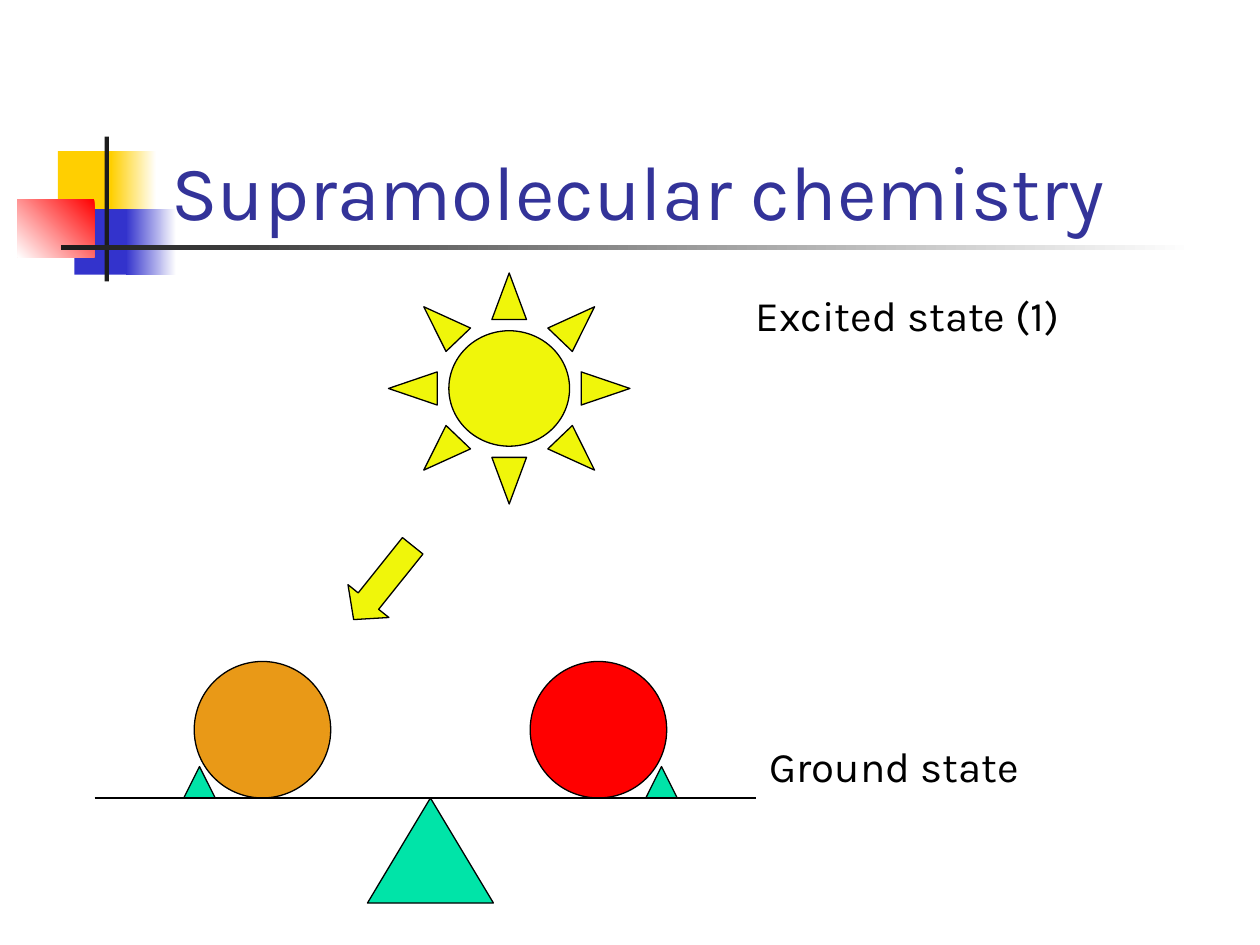
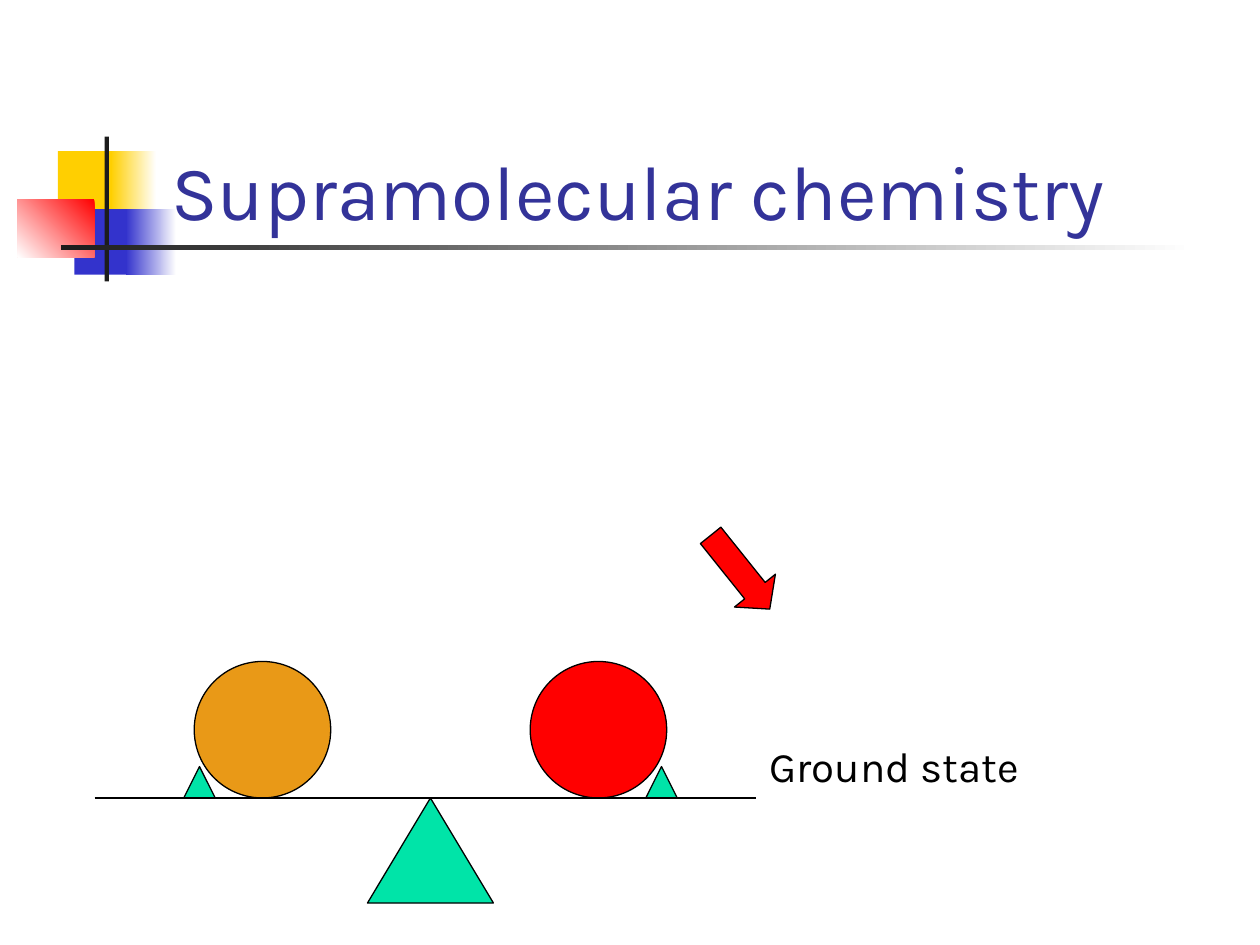
from pptx import Presentation
from pptx.dml.color import RGBColor
from pptx.enum import shapes as kinds, text as txt
from pptx.oxml import ns, xmlchemy
from pptx.util import Pt

FONT = "Karla"
WHITE = RGBColor(255, 255, 255)
BLACK = RGBColor(0, 0, 0)
INK = RGBColor(0x1C, 0x1C, 0x1C)
NAVY = RGBColor(0x33, 0x33, 0x99)
BLUE = RGBColor(0x33, 0x33, 0xCC)
GOLD = RGBColor(0xFF, 0xCF, 0x01)
RED = RGBColor(0xFF, 0, 0)
AMBER = RGBColor(0xE9, 0x99, 0x17)
GREEN = RGBColor(0, 0xE4, 0xA8)
YELLOW = RGBColor(0xF0, 0xF6, 0x0A)

KIND = kinds.MSO_SHAPE
TITLE = "Supramolecular chemistry"
TITLE_BOX = (90.7, 48.2, 613.4, 90)
SCALE_BOX = (54, 378, 378, 138)
SUN_BOX = (222, 156, 138, 132)
GROUND_BOX = (432.7, 419.8, 162.7, 36)
EXCITED_BOX = (424.8, 162, 191.5, 36)

# Band: box, first colour, last colour, angle (one colour means a plain fill)
BAND = [
    ((33.1, 86.4, 34.6, 37.4), GOLD, None, 0),
    ((63.4, 86.4, 25.9, 37.4), WHITE, GOLD, 180),
    ((42.5, 119.5, 33.1, 37.4), BLUE, None, 0),
    ((72, 119.5, 28.8, 37.4), WHITE, BLUE, 180),
    ((10, 113.8, 44, 33.1), RED, WHITE, 225),
    ((59.8, 78, 2.4, 82.8), INK, None, 0),
    ((34.6, 140.2, 648, 2.5), WHITE, INK, 180),
]


def assign(obj, form):
    for name, value in form.items():
        setattr(obj, name, value)


def draw(slide, kind, box, fill, edge=True):
    shape = slide.shapes.add_shape(kind, *map(Pt, box))
    shape.shadow.inherit = False
    shape.fill.solid()
    shape.fill.fore_color.rgb = fill
    if edge:
        shape.line.color.rgb = BLACK
        shape.line.width = Pt(0.75)
    else:
        shape.line.fill.background()
    return shape


def write(shape, words, size, color, anchor, wrap, fit):
    frame = shape.text_frame
    frame.text = words
    assign(frame, dict(word_wrap=wrap, auto_size=fit, vertical_anchor=anchor))
    part = frame.paragraphs[0]
    part.alignment = txt.PP_ALIGN.LEFT
    assign(part.font, dict(name=FONT, size=Pt(size)))
    part.font.color.rgb = color


def add_band(slide, layout):
    """Draw the band and move it behind the layout's placeholders."""
    tree = layout.element.cSld.spTree
    for i, (box, first, last, angle) in enumerate(BAND):
        shape = draw(slide, KIND.RECTANGLE, box, first, edge=False)
        if last is not None:
            shape.fill.gradient()
            shape.fill.gradient_angle = angle
            for stop, color in zip(shape.fill.gradient_stops, (first, last)):
                stop.color.rgb = color
        shape.element.nvSpPr.cNvPr.set("id", str(100 + i))
        tree.insert(2 + i, shape.element)


def add_title(slide, box):
    title = slide.shapes.title
    assign(title, dict(zip(("left", "top", "width", "height"), map(Pt, box))))
    write(title, TITLE, 44, NAVY, txt.MSO_ANCHOR.BOTTOM, True,
          txt.MSO_AUTO_SIZE.NONE)


def add_label(slide, box, words):
    label = slide.shapes.add_textbox(*map(Pt, box))
    write(label, words, 24, BLACK, txt.MSO_ANCHOR.TOP, False,
          txt.MSO_AUTO_SIZE.SHAPE_TO_FIT_TEXT)


def add_scale(slide, box):
    """Two balls held by chocks on a beam over a pivot."""
    left, top, width, height = box
    ball, chock, foot = 78, 18, 72
    beam, mid = top + ball, left + 192
    for side, color in ((-1, AMBER), (1, RED)):
        draw(slide, KIND.OVAL,
             (mid + side * 96 - ball / 2, top, ball, ball), color)
        draw(slide, KIND.ISOSCELES_TRIANGLE,
             (mid + side * 132 - chock / 2, beam - chock, chock, chock), GREEN)
    draw(slide, KIND.ISOSCELES_TRIANGLE,
         (mid - foot / 2, beam, foot, height - ball), GREEN)
    line = slide.shapes.add_connector(
        kinds.MSO_CONNECTOR.STRAIGHT, Pt(left), Pt(beam),
        Pt(left + width), Pt(beam))
    line.line.color.rgb = BLACK
    line.line.width = Pt(0.75)
    line.element.spPr.append(xmlchemy.OxmlElement("a:effectLst"))


def add_arrow(slide, box, turn, color):
    arrow = draw(slide, KIND.DOWN_ARROW, box, color)
    arrow.rotation = turn
    arrow.adjustments[1] = 0.45


def add_slide(deck, layout):
    slide = deck.slides.add_slide(layout)
    add_title(slide, TITLE_BOX)
    add_scale(slide, SCALE_BOX)
    add_label(slide, GROUND_BOX, "Ground state")
    return slide


def main():
    deck = Presentation()
    assign(deck, dict(slide_width=Pt(720), slide_height=Pt(540)))
    layout = deck.slide_layouts[5]

    # Excited state above the scale
    slide = add_slide(deck, layout)
    add_band(slide, layout)
    draw(slide, KIND.SUN, SUN_BOX, YELLOW)
    add_arrow(slide, (204, 306, 30, 54), 38.7, YELLOW)
    add_label(slide, EXCITED_BOX, "Excited state (1)")

    # Energy leaves on the right
    slide = add_slide(deck, layout)
    add_arrow(slide, (408, 300, 30, 54), -38.7, RED)

    deck.save("out.pptx")


if __name__ == "__main__":
    main()
